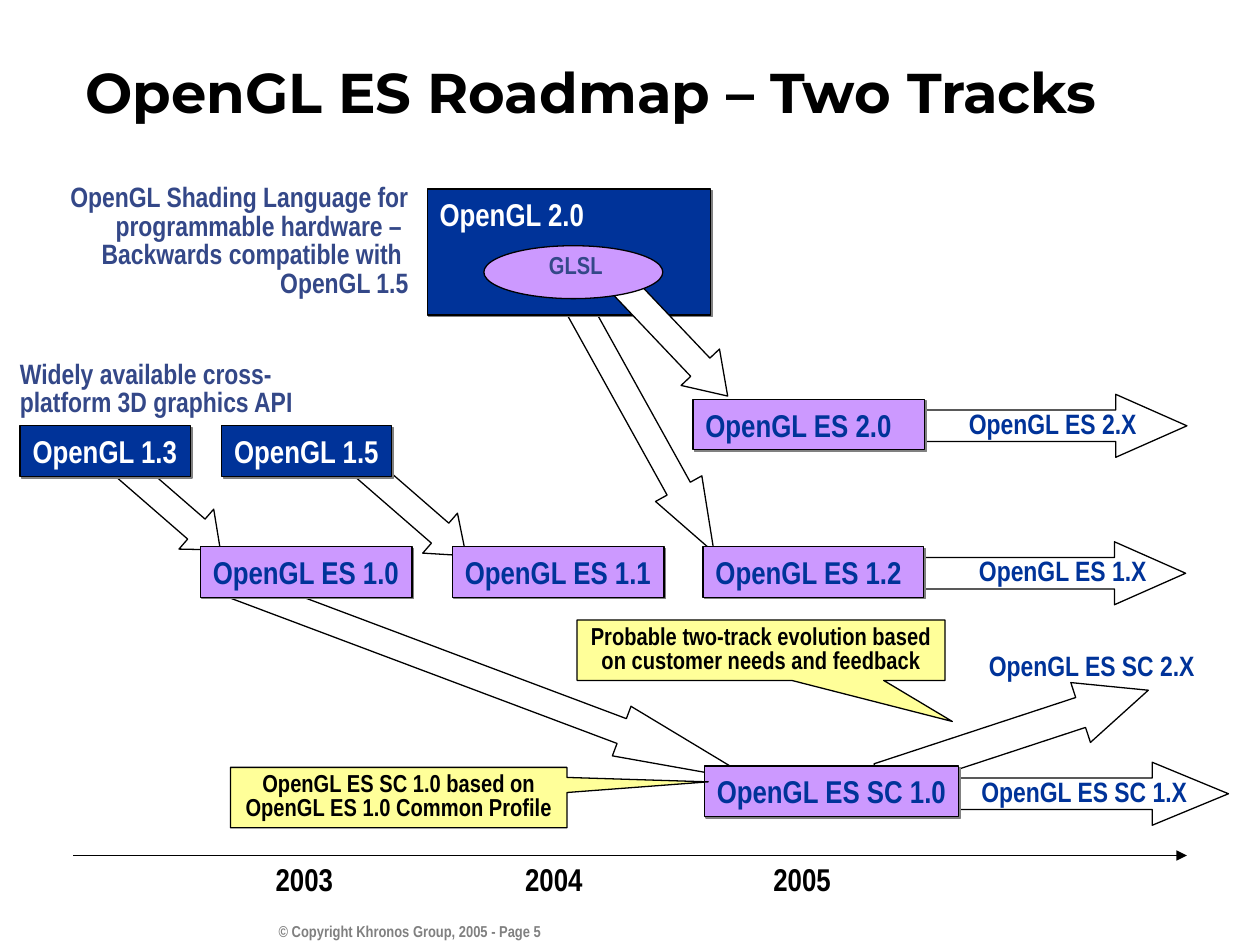
import dataclasses

import lxml.etree
import pptx
import pptx.dml.color
import pptx.enum.shapes
import pptx.enum.text
import pptx.oxml.ns
import pptx.util

RGB = pptx.dml.color.RGBColor
KIND = pptx.enum.shapes.MSO_SHAPE
ALIGN = pptx.enum.text.PP_ALIGN
ANCHOR = pptx.enum.text.MSO_ANCHOR
FIT = pptx.enum.text.MSO_AUTO_SIZE

SCALE = 9144
BLACK = RGB(0, 0, 0)
WHITE = RGB(255, 255, 255)
GRAY = RGB(0x80, 0x80, 0x80)
NAVY = RGB(0x00, 0x33, 0x99)
SLATE = RGB(0x34, 0x48, 0x88)
LILAC = RGB(0xCC, 0x99, 0xFF)
YELLOW = RGB(0xFF, 0xFF, 0x99)


@dataclasses.dataclass(frozen=True)
class Rect:
    x: int
    y: int
    w: int
    h: int


@dataclasses.dataclass(frozen=True)
class Arrow:
    rect: Rect
    head: float
    turn: float = 0


@dataclasses.dataclass(frozen=True)
class Box:
    text: str
    rect: Rect
    fill: RGB
    ink: RGB
    wrap: bool = False


@dataclasses.dataclass(frozen=True)
class Label:
    text: str
    rect: Rect


@dataclasses.dataclass(frozen=True)
class Callout:
    text: str
    rect: Rect
    tip: tuple[float, float]


ARROWS = [
    Arrow(Rect(692, 558, 225, 50), 1.13, 341.8),
    Arrow(Rect(164, 520, 450, 42), 2.7, 20.6),
    Arrow(Rect(732, 605, 243, 50), 1.21),
    Arrow(Rect(276, 385, 107, 42), 0.65, 41),
    Arrow(Rect(396, 317, 230, 42), 1.38, 61),
    Arrow(Rect(88, 383, 99, 42), 0.6, 41),
    Arrow(Rect(716, 430, 225, 50), 1.13),
    Arrow(Rect(717, 313, 225, 50), 1.13),
]
BOXES = [
    Box("OpenGL ES 1.0", Rect(159, 434, 168, 40), LILAC, NAVY),
    Box("OpenGL 1.3", Rect(16, 338, 135, 40), NAVY, WHITE),
    Box("OpenGL ES 1.1", Rect(359, 434, 168, 40), LILAC, NAVY),
    Box("OpenGL ES 1.2", Rect(558, 434, 175, 40), LILAC, NAVY, True),
    Box("OpenGL 1.5", Rect(176, 338, 135, 40), NAVY, WHITE),
    Box("OpenGL 2.0", Rect(339, 150, 225, 100), NAVY, WHITE, True),
    Box("OpenGL ES 2.0", Rect(550, 317, 184, 40), LILAC, NAVY, True),
    Box("OpenGL ES SC 1.0", Rect(559, 608, 202, 40), LILAC, NAVY),
]
TRACKS = [
    Label("OpenGL ES 2.X", Rect(759, 325, 153, 29)),
    Label("OpenGL ES 1.X", Rect(767, 442, 153, 29)),
    Label("OpenGL ES SC 1.X", Rect(769, 617, 183, 29)),
    Label("OpenGL ES SC 2.X", Rect(775, 517, 183, 29)),
]
YEARS = [
    Label(str(2003 + i), Rect(207 + round(197.5 * i), 686, 69, 31)) for i in range(3)
]
CALLOUTS = [
    Callout("OpenGL ES SC 1.0 based on OpenGL ES 1.0 Common Profile",
            Rect(183, 609, 267, 48), (0.92, -0.26)),
    Callout("Probable two-track evolution based on customer needs and feedback",
            Rect(458, 492, 292, 48), (0.52, 1.18)),
]


def px(n: int) -> int:
    return pptx.util.Emu(n * SCALE)


def place(rect: Rect) -> list[int]:
    return [px(n) for n in (rect.x, rect.y, rect.w, rect.h)]


def write(shape, text: str, *, size: int, ink: RGB, font: str = "Arial Narrow",
          align=ALIGN.LEFT, space: float = 1.0, wrap: bool = True,
          anchor=ANCHOR.TOP) -> None:
    frame = shape.text_frame
    frame.word_wrap = wrap
    frame.auto_size = FIT.NONE if wrap else FIT.SHAPE_TO_FIT_TEXT
    frame.vertical_anchor = anchor
    frame.margin_left = frame.margin_right = px(10)
    frame.margin_top = frame.margin_bottom = px(5)
    frame.text = text
    for para in frame.paragraphs:
        para.alignment = align
        para.line_spacing = space
        for run in para.runs:
            run.font.name = font
            run.font.size = pptx.util.Pt(size)
            run.font.bold = True
            run.font.color.rgb = ink


def add_text(slide, text: str, rect: Rect, **style) -> None:
    write(slide.shapes.add_textbox(*place(rect)), text, **style)


def add_form(slide, kind, rect: Rect, fill: RGB):
    shape = slide.shapes.add_shape(kind, *place(rect))
    shape.shadow.inherit = False
    shape.fill.solid()
    shape.fill.fore_color.rgb = fill
    shape.line.color.rgb = BLACK
    shape.line.width = pptx.util.Pt(0.75)
    return shape


def add_arrow(slide, arrow: Arrow) -> None:
    shape = add_form(slide, KIND.RIGHT_ARROW, arrow.rect, WHITE)
    shape.adjustments[0] = 0.5
    shape.adjustments[1] = arrow.head
    shape.rotation = arrow.turn


def add_box(slide, box: Box) -> None:
    shape = add_form(slide, KIND.RECTANGLE, box.rect, box.fill)
    name = pptx.oxml.ns.qn
    glow = shape._element.spPr.find(name("a:effectLst"))
    shade = lxml.etree.SubElement(glow, name("a:outerShdw"), blurRad="0",
                                  dist="17780", dir="2700000", algn="ctr", rotWithShape="0")
    lxml.etree.SubElement(shade, name("a:srgbClr"), val=str(GRAY))
    write(shape, box.text, size=18, ink=box.ink, wrap=box.wrap)


def add_callout(slide, note: Callout) -> None:
    shape = add_form(slide, KIND.RECTANGULAR_CALLOUT, note.rect, YELLOW)
    shape.adjustments[0], shape.adjustments[1] = note.tip
    write(shape, note.text, size=14, ink=BLACK, align=ALIGN.CENTER, space=0.8,
          anchor=ANCHOR.MIDDLE)


def add_axis(slide) -> None:
    axis = slide.shapes.add_connector(pptx.enum.shapes.MSO_CONNECTOR.STRAIGHT,
                                      px(58), px(679), px(942), px(679))
    axis.line.color.rgb = BLACK
    axis.line.width = pptx.util.Pt(1)
    name = pptx.oxml.ns.qn
    lxml.etree.SubElement(axis.line._get_or_add_ln(), name("a:tailEnd"), type="triangle")
    lxml.etree.SubElement(axis._element.spPr, name("a:effectLst"))


def main() -> None:
    deck = pptx.Presentation()
    deck.slide_width, deck.slide_height = px(1000), px(750)
    slide = deck.slides.add_slide(deck.slide_layouts[6])

    add_text(slide, "© Copyright Khronos Group, 2005 - Page 5", Rect(200, 727, 239, 33),
             size=9, ink=GRAY, align=ALIGN.RIGHT)
    for arrow in ARROWS:
        add_arrow(slide, arrow)
    add_text(slide, "OpenGL ES Roadmap – Two Tracks", Rect(58, 51, 937, 42),
             size=32, ink=BLACK, font="Montserrat", anchor=ANCHOR.MIDDLE)
    add_axis(slide)
    for box in BOXES:
        add_box(slide, box)

    add_arrow(slide, Arrow(Rect(472, 248, 125, 42), 0.75, 46.5))
    add_form(slide, KIND.OVAL, Rect(384, 195, 142, 42), LILAC)
    tight = dict(align=ALIGN.CENTER, space=0.7, wrap=False)
    add_text(slide, "GLSL", Rect(424, 200, 66, 27), size=14, ink=SLATE, **tight)
    for year in YEARS:
        add_text(slide, year.text, year.rect, size=18, ink=BLACK, **tight)
    for track in TRACKS:
        add_text(slide, track.text, track.rect, size=16, ink=NAVY, **tight)

    add_text(slide, "Widely available cross-platform 3D graphics API",
             Rect(6, 282, 246, 56), size=16, ink=SLATE, space=0.85)
    add_text(slide, "OpenGL Shading Language for programmable hardware – \n"
             "Backwards compatible with \vOpenGL 1.5",
             Rect(-33, 142, 367, 101), size=16, ink=SLATE, align=ALIGN.RIGHT, space=0.85)
    for note in CALLOUTS:
        add_callout(slide, note)
    deck.save("out.pptx")


if __name__ == "__main__":
    main()
